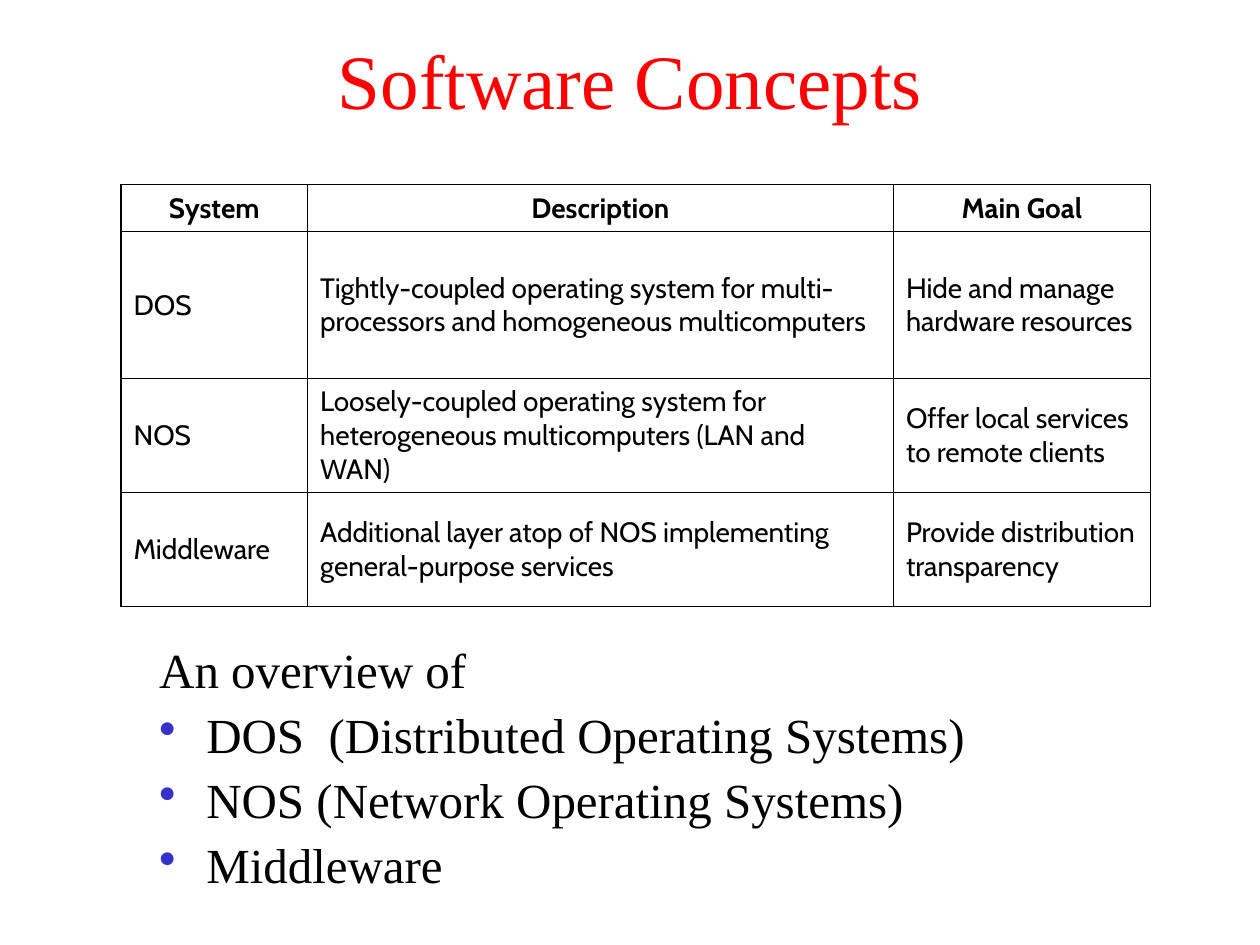
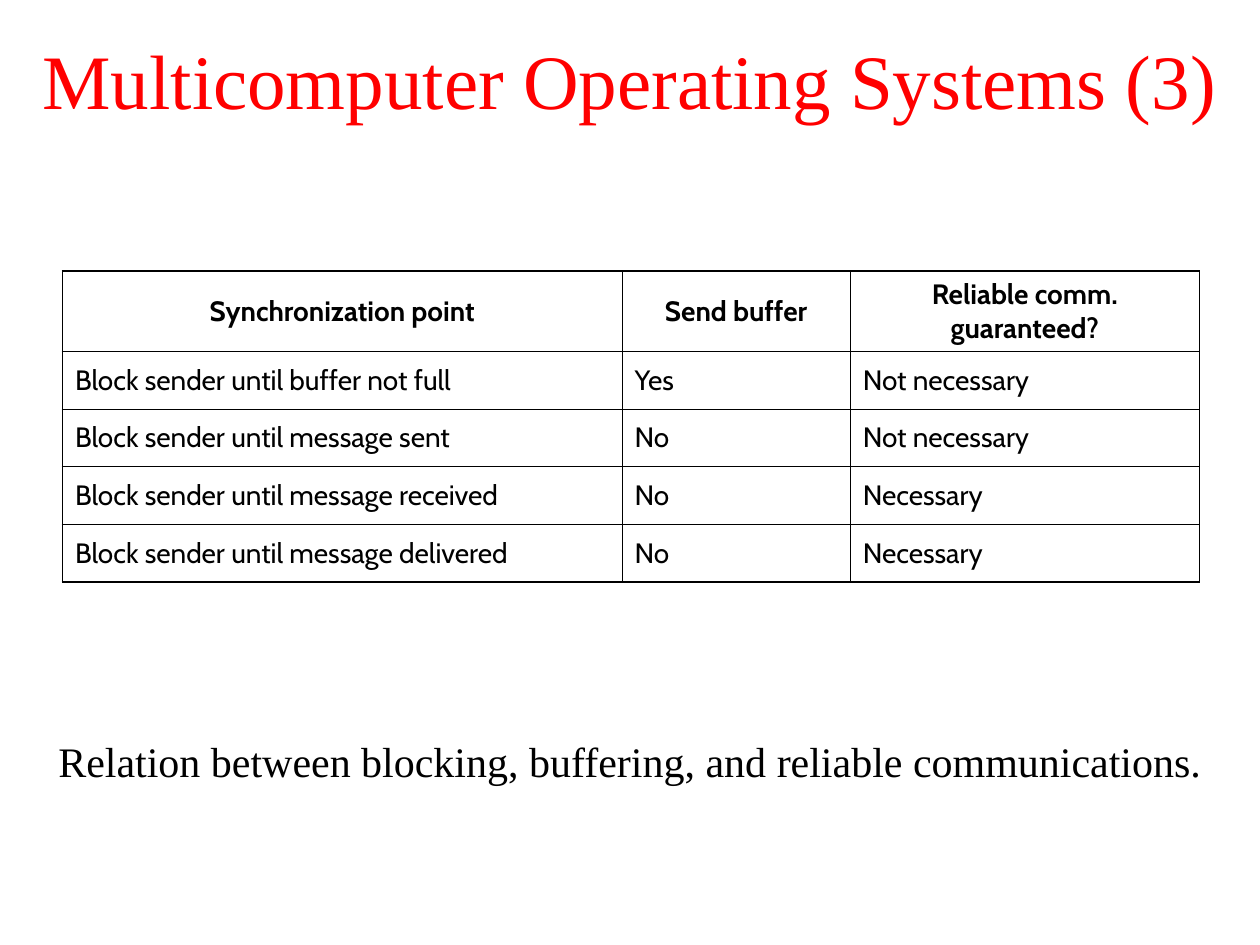
from lxml.etree import SubElement
from pptx import Presentation
from pptx.dml.color import RGBColor
from pptx.enum.text import MSO_ANCHOR, PP_ALIGN
from pptx.oxml import parse_xml
from pptx.oxml.ns import nsdecls, qn
from pptx.util import Cm, Pt

RED = RGBColor(0xFF, 0x00, 0x00)
BLACK = RGBColor(0x00, 0x00, 0x00)
BLUE = RGBColor(0x33, 0x33, 0xCC)
SERIF, SANS = "Times New Roman", "Cabin"
OUTER_RULE, INNER_RULE = Pt(1.08), Pt(0.45)
WIDTH, HEIGHT = 25.4, 19.05
TITLE_HEIGHT = 3.18
HANGING = 0.95

# Places are left, top, width, height in centimetres.
SLIDES = [
    {
        "title": "Software Concepts",
        "table": {
            "corner": (2.44, 3.72),
            "columns": [3.76, 11.81, 5.18],
            "heights": [0.95, 2.96, 2.3, 2.3],
            "rows": [
                ("System", "Description", "Main Goal"),
                ("DOS",
                 "Tightly-coupled operating system for multi-processors "
                 "and homogeneous multicomputers",
                 "Hide and manage hardware resources"),
                ("NOS",
                 "Loosely-coupled operating system for heterogeneous "
                 "multicomputers (LAN and WAN)",
                 "Offer local services to remote clients"),
                ("Middleware",
                 "Additional layer atop of NOS implementing general-purpose services",
                 "Provide distribution transparency"),
            ],
        },
        "body": {
            "place": (2.96, 12.9, 22.44, 5.29),
            "lines": ["An overview of"],
            "bullets": ["DOS  (Distributed Operating Systems)",
                        "NOS (Network Operating Systems)",
                        "Middleware"],
            "size": 28,
            "align": PP_ALIGN.LEFT,
        },
    },
    {
        "title": "Multicomputer Operating Systems (3)",
        "table": {
            "corner": (1.26, 5.46),
            "columns": [11.28, 4.6, 7.04],
            "heights": [1.63] + [1.16] * 4,
            "rows": [
                ("Synchronization point", "Send buffer", "Reliable comm. guaranteed?"),
                ("Block sender until buffer not full", "Yes", "Not necessary"),
                ("Block sender until message sent", "No", "Not necessary"),
                ("Block sender until message received", "No", "Necessary"),
                ("Block sender until message delivered", "No", "Necessary"),
            ],
        },
        "body": {
            "place": (0, 14.82, WIDTH, 2.33),
            "lines": ["Relation between blocking, buffering, and reliable communications."],
            "bullets": [],
            "size": 24,
            "align": PP_ALIGN.CENTER,
        },
    },
]


def write(para, text, font=SERIF, size=16, color=BLACK, bold=False,
          align=PP_ALIGN.LEFT, spacing=None, before=0, bullet=False):
    if bullet:
        add_bullet(para)
    para.alignment = align
    para.line_spacing = spacing
    para.space_before = Pt(before)
    span = para.add_run()
    span.text = text
    span.font.name = font
    span.font.size = Pt(size)
    span.font.bold = bold
    span.font.color.rgb = color


def add_bullet(para):
    properties = para._p.get_or_add_pPr()
    properties.set("marL", str(Cm(HANGING)))
    properties.set("indent", str(-Cm(HANGING)))
    tint = SubElement(properties, qn("a:buClr"))
    SubElement(tint, qn("a:srgbClr"), val=str(BLUE))
    SubElement(properties, qn("a:buChar"), char="•")


def set_borders(cell, widths):
    """Rule the cell; widths are in the order left, right, top, bottom."""
    properties = cell._tc.get_or_add_tcPr()
    for position, (side, width) in enumerate(zip("LRTB", widths)):
        properties.insert(position, parse_xml(
            f'<a:ln{side} {nsdecls("a")} w="{width}"><a:solidFill>'
            f'<a:srgbClr val="{BLACK}"/></a:solidFill></a:ln{side}>'))


def add_title(page, text):
    title = page.shapes.title
    title.left, title.top = Cm(0), Cm(0)
    title.width, title.height = Cm(WIDTH), Cm(TITLE_HEIGHT)
    title.text_frame.word_wrap = True
    title.text_frame.vertical_anchor = MSO_ANCHOR.MIDDLE
    write(title.text_frame.paragraphs[0], text, size=44, color=RED,
          align=PP_ALIGN.CENTER)


def add_grid(page, corner, columns, heights, rows):
    left, top = corner
    frame = page.shapes.add_table(len(rows), len(columns), Cm(left), Cm(top),
                                  Cm(sum(columns)), Cm(sum(heights)))
    grid = frame.table
    grid.first_row = grid.horz_banding = False
    for column, width in zip(grid.columns, columns):
        column.width = Cm(width)
    for row, height in zip(grid.rows, heights):
        row.height = Cm(height)
    for r, texts in enumerate(rows):
        for c, text in enumerate(texts):
            cell = grid.cell(r, c)
            cell.fill.background()
            cell.vertical_anchor = MSO_ANCHOR.MIDDLE
            header = r == 0
            write(cell.text_frame.paragraphs[0], text, font=SANS, bold=header,
                  align=PP_ALIGN.CENTER if header else PP_ALIGN.LEFT)
            on_edge = (c == 0, c == len(columns) - 1, r == 0, r == len(rows) - 1)
            set_borders(cell, [OUTER_RULE if edge else INNER_RULE for edge in on_edge])


def add_body(page, place, lines, bullets, size, align):
    box = page.shapes.add_textbox(*map(Cm, place))
    box.text_frame.word_wrap = True
    for index, text in enumerate(lines + bullets):
        para = box.text_frame.paragraphs[0] if index == 0 else box.text_frame.add_paragraph()
        write(para, text, size=size, align=align, spacing=0.9,
              before=7 if index else 0, bullet=index >= len(lines))


def main():
    deck = Presentation()
    deck.slide_width, deck.slide_height = Cm(WIDTH), Cm(HEIGHT)
    title_only = deck.slide_layouts[5]
    for content in SLIDES:
        page = deck.slides.add_slide(title_only)
        add_title(page, content["title"])
        add_body(page, **content["body"])
        add_grid(page, **content["table"])
    deck.save("out.pptx")


if __name__ == "__main__":
    main()
